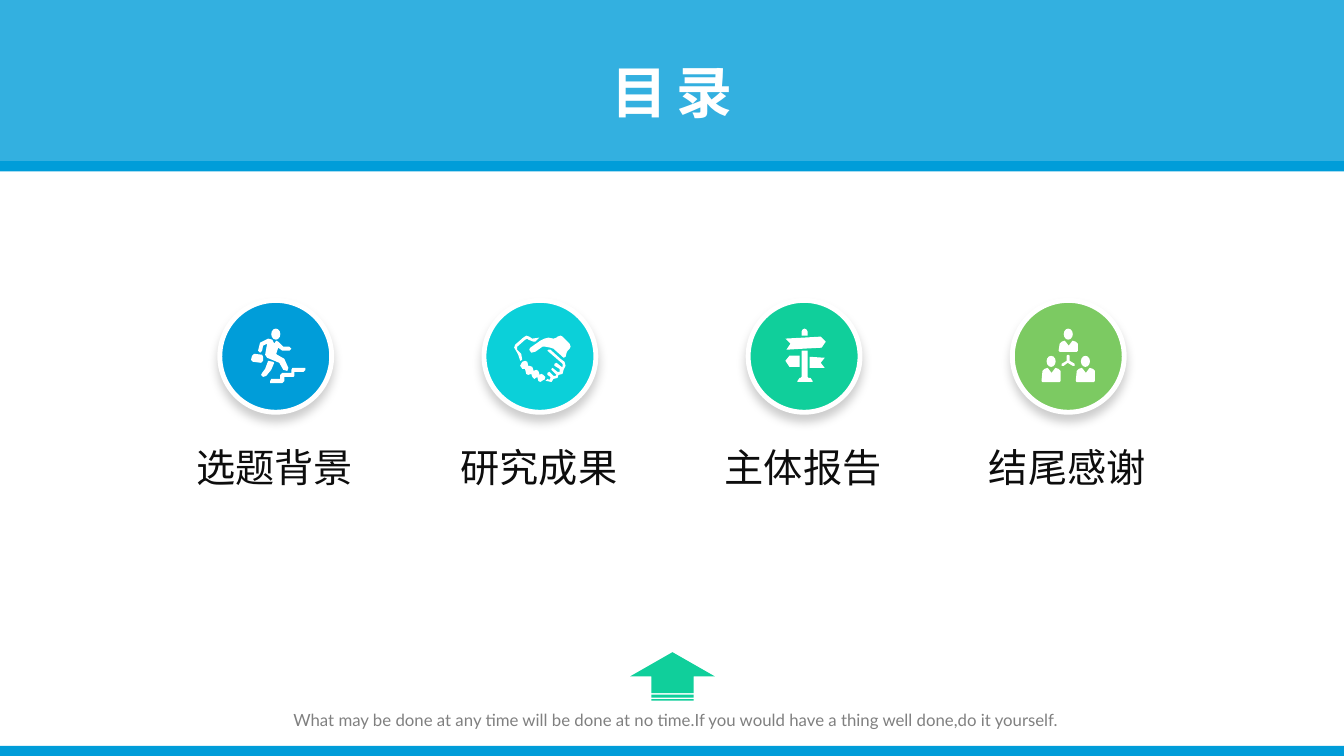
from lxml import etree
from pptx import Presentation
from pptx.dml.color import RGBColor
from pptx.enum.shapes import MSO_SHAPE
from pptx.enum.text import MSO_AUTO_SIZE, PP_ALIGN
from pptx.oxml import parse_xml
from pptx.oxml.ns import nsdecls, qn
from pptx.util import Pt

EMU_PER_PX = 9144  # 100 px to the inch
WIDTH, HEIGHT = 1333, 750
BLUE, WHITE, GREEN = "009DD9", "FFFFFF", "10CF9B"
EAST_ASIAN_FONT = "Noto Sans CJK SC"

TITLE_FONT = {"size": Pt(40), "name": "Lato", "bold": True}
CAPTION_FONT = {"size": Pt(28), "name": EAST_ASIAN_FONT}
QUOTE_FONT = {"size": Pt(12), "name": "Lato"}

FIRST_BADGE, BADGE_TOP, BADGE_SIZE, BADGE_PITCH = 218, 298, 111, 262
CAPTION_OFFSET, CAPTION_TOP = -33, 435

# Icon outlines, in px from each icon's origin
RUNNER = [
    [(69, 76), (78, 76), (78, 72), (80, 70), (89, 70), (89, 67), (90, 65),
     (103, 65), (103, 67), (101, 69), (92, 69), (92, 73), (91, 74), (82, 74),
     (82, 78), (80, 80), (68, 80), (68, 78)],
    [(51, 59), (59, 60), (61, 58), (61, 54), (60, 52), (52, 51), (50, 53),
     (49, 57)],
    [(60, 70), (63, 66), (66, 58), (71, 59), (72, 60), (69, 67), (64, 73),
     (61, 74), (59, 72)],
    [(74, 38), (76, 39), (81, 44), (87, 44), (89, 46), (87, 48), (80, 48),
     (76, 45), (74, 51), (75, 52), (82, 56), (86, 65), (85, 68), (81, 67),
     (77, 60), (65, 55), (63, 52), (65, 41), (61, 43), (60, 48), (58, 50),
     (56, 48), (58, 40), (66, 36), (70, 37), (72, 41)],
]
HANDSHAKE = [
    [(46, 47), (56, 56), (60, 59), (61, 63), (59, 67), (58, 71), (54, 72),
     (53, 75), (49, 76), (47, 79), (42, 78), (41, 78), (43, 76), (45, 77),
     (46, 75), (46, 74), (43, 72), (43, 70), (45, 69), (49, 73), (51, 73),
     (52, 72), (51, 71), (47, 67), (47, 66), (48, 65), (53, 69), (55, 69),
     (55, 66), (50, 63), (50, 61), (52, 60), (57, 64), (58, 64), (58, 61),
     (43, 48), (44, 47)],
    [(16, 58), (14, 52), (13, 50), (10, 45), (11, 42), (19, 35), (22, 33),
     (25, 34), (28, 36), (35, 35), (31, 39), (29, 39), (24, 37), (23, 36),
     (21, 37), (13, 44), (13, 47), (15, 49), (17, 51), (18, 57)],
    [(39, 72), (37, 71), (35, 72), (35, 71), (34, 68), (32, 67), (29, 68),
     (29, 67), (28, 64), (25, 63), (24, 63), (23, 59), (21, 58), (18, 59),
     (17, 61), (16, 63), (18, 66), (21, 66), (21, 67), (22, 71), (24, 72),
     (27, 71), (28, 74), (30, 76), (33, 74), (34, 78), (36, 79), (39, 77),
     (40, 77), (41, 74)],
    [(49, 46), (58, 54), (59, 55), (61, 54), (62, 50), (63, 48), (65, 46),
     (66, 44), (65, 41), (58, 34), (56, 33), (53, 34), (52, 35), (49, 36),
     (44, 35), (40, 36), (36, 38), (26, 45), (25, 47), (27, 50), (31, 49),
     (38, 44), (41, 44), (46, 45)],
]
SIGNPOST = [
    [(118, 65), (103, 65), (103, 54), (118, 55), (114, 60)],
    [(95, 29), (96, 27), (98, 26), (100, 27), (101, 29), (101, 33), (95, 33)],
    [(101, 48), (101, 74), (102, 75), (104, 75), (106, 78), (106, 79),
     (91, 79), (91, 78), (93, 75), (94, 75), (95, 74), (95, 48)],
    [(93, 64), (83, 64), (79, 58), (83, 53), (93, 53)],
    [(79, 36), (97, 35), (114, 34), (119, 39), (115, 45), (97, 46), (80, 47),
     (84, 41)],
]
BRANCHES = [
    (58, 53), (59, 52), (60, 52), (61, 53), (61, 58), (66, 61), (66, 63),
    (64, 63), (59, 60), (55, 63), (53, 63), (53, 61), (58, 58)]


def body_outline(left, top, height):
    """Shoulders and collar below a head at left, top."""
    outline = [(5, 17), (8, 13), (9, 12), (12, 13), (14, 15), (14, height - 1),
               (13, height), (-4, height), (-5, height - 1), (-4, 15),
               (-2, 13), (1, 12), (2, 13)]
    return [(left + x, top + y) for x, y in outline]


TEAM_MEMBERS = [(55, 26, 23), (38, 53, 26), (72, 53, 26)]
TEAM = [body_outline(*member) for member in TEAM_MEMBERS] + [BRANCHES]
TEAM_HEADS = [(left, top) for left, top, height in TEAM_MEMBERS]

# caption, colour, icon origin, icon outlines, heads
TOPICS = [
    ("选题背景", BLUE, (200, 300), RUNNER, [(69, 26)]),
    ("研究成果", "0BD0D9", (500, 300), HANDSHAKE, []),
    ("主体报告", GREEN, (700, 300), SIGNPOST, []),
    ("结尾感谢", "7CCA62", (1000, 300), TEAM, TEAM_HEADS),
]


def px(*lengths):
    return [length * EMU_PER_PX for length in lengths]


def colour(hex_text):
    return RGBColor.from_string(hex_text)


def paint(shape, fill):
    shape.shadow.inherit = False
    shape.fill.solid()
    shape.fill.fore_color.rgb = colour(fill)
    shape.line.fill.background()


def add_block(shapes, kind, box, fill):
    shape = shapes.add_shape(kind, *px(*box))
    paint(shape, fill)
    return shape


def set_opacity(shape, percent):
    color_element = shape.fill._xPr.find(qn("a:solidFill"))[0]
    etree.SubElement(color_element, qn("a:alpha"), val=str(percent * 1000))


def add_soft_shadow(shape):
    effects = shape._element.spPr.find(qn("a:effectLst"))
    effects.append(parse_xml(
        f'<a:outerShdw {nsdecls("a")} blurRad="{Pt(7)}" dist="{Pt(5)}" '
        'dir="5400000" algn="t" rotWithShape="0"><a:srgbClr val="000000">'
        '<a:alpha val="20000"/></a:srgbClr></a:outerShdw>'))


def add_text(slide, text, box, font, fill, align=PP_ALIGN.LEFT, wrap=False):
    text_box = slide.shapes.add_textbox(*px(*box))
    frame = text_box.text_frame
    frame.word_wrap = wrap
    frame.auto_size = MSO_AUTO_SIZE.SHAPE_TO_FIT_TEXT
    paragraph = frame.paragraphs[0]
    paragraph.alignment = align
    run = paragraph.add_run()
    run.text = text
    for name, value in font.items():
        setattr(run.font, name, value)
    run.font.color.rgb = colour(fill)
    properties = run._r.get_or_add_rPr()
    etree.SubElement(properties, qn("a:ea"), typeface=EAST_ASIAN_FONT)
    return properties


def add_icon(shapes, origin, outlines, heads):
    first, *others = outlines
    builder = shapes.build_freeform(*first[0], scale=EMU_PER_PX)
    builder.add_line_segments(first[1:], close=True)
    for outline in others:
        builder.move_to(*outline[0])
        builder.add_line_segments(outline[1:], close=True)
    paint(builder.convert_to_shape(*px(*origin)), WHITE)
    for left, top in heads:
        box = (origin[0] + left, origin[1] + top, 9, 11)
        add_block(shapes, MSO_SHAPE.OVAL, box, WHITE)


def add_topic(slide, left, caption, fill, origin, outlines, heads):
    """Round badge with its icon, and the caption below."""
    group = slide.shapes.add_group_shape()
    badge = add_block(group.shapes, MSO_SHAPE.OVAL,
                      (left, BADGE_TOP, BADGE_SIZE, BADGE_SIZE), fill)
    badge.line.color.rgb = colour(WHITE)
    badge.line.width = Pt(3.5)
    add_soft_shadow(badge)
    add_icon(group.shapes, origin, outlines, heads)
    add_text(slide, caption, (left + CAPTION_OFFSET, CAPTION_TOP, 177, 57),
             CAPTION_FONT, "0D0D0D")


def main():
    presentation = Presentation()
    presentation.slide_width, presentation.slide_height = px(WIDTH, HEIGHT)
    slide = presentation.slides.add_slide(presentation.slide_layouts[6])

    banner = add_block(slide.shapes, MSO_SHAPE.RECTANGLE,
                       (0, 0, WIDTH, 160), BLUE)
    set_opacity(banner, 80)
    title = add_text(slide, "目录", (592, 52, 149, 77), TITLE_FONT, WHITE,
                     PP_ALIGN.CENTER)
    title.set("spc", "600")
    for top in (160, HEIGHT - 10):
        add_block(slide.shapes, MSO_SHAPE.RECTANGLE, (0, top, WIDTH, 10), BLUE)

    for index, topic in enumerate(TOPICS):
        add_topic(slide, FIRST_BADGE + index * BADGE_PITCH, *topic)

    add_text(slide, "What may be done at any time will be done at no time."
             "If you would have a thing well done,do it yourself.",
             (193, 699, 955, 30), QUOTE_FONT, "808080", PP_ALIGN.CENTER, True)
    arrow = add_block(slide.shapes, MSO_SHAPE.STRIPED_RIGHT_ARROW,
                      (643, 629, 48, 84), GREEN)
    arrow.rotation = 270
    presentation.save("out.pptx")


if __name__ == "__main__":
    main()
